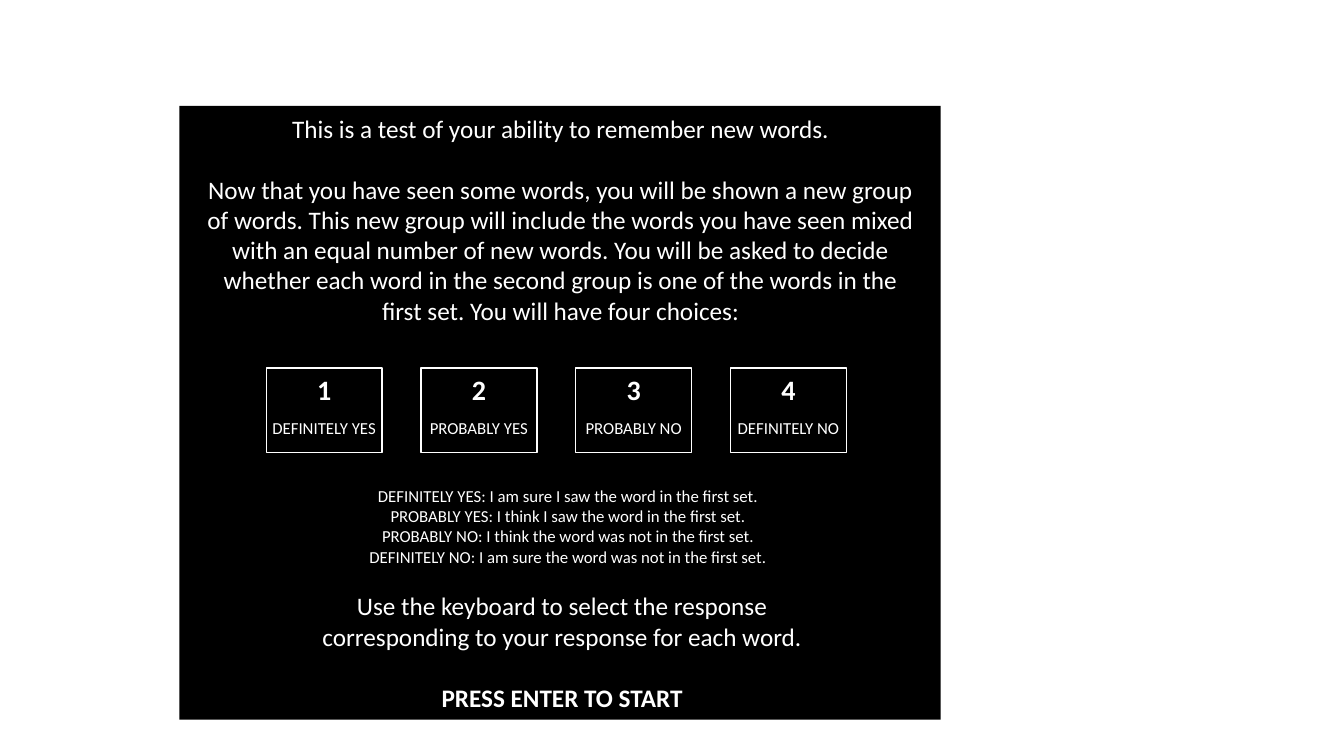
import pptx
import pptx.util
import pptx.dml.color
import pptx.enum.shapes
import pptx.enum.text

# Content
INTRODUCTION = [
    "This is a test of your ability to remember new words.",
    "Now that you have seen some words, you will be shown a new group of words. "
    "This new group will include the words you have seen mixed with an equal number "
    "of new words. You will be asked to decide whether each word in the second group "
    "is one of the words in the first set. You will have four choices:",
]
CHOICES = [
    ("DEFINITELY YES", "I am sure I saw the word in the first set."),
    ("PROBABLY YES", "I think I saw the word in the first set."),
    ("PROBABLY NO", "I think the word was not in the first set."),
    ("DEFINITELY NO", "I am sure the word was not in the first set."),
]
INSTRUCTION = ("Use the keyboard to select the response corresponding "
               "to your response for each word.")
START = "PRESS ENTER TO START"

# Format and layout, in inches
COLORS = {"panel": "000000", "ink": "FFFFFF"}
FONT = "Calibri"
LINE_GAP = 22  # one line of 18 point text
PANEL = (1.78, 1.05, 7.55, 6.09)
INTRODUCTION_AREA = (1.9, 1.07, 7.32, 2.22)
MEANINGS_AREA = (2.3, 4.77, 6.67, 0.91)
INSTRUCTION_AREA = (2.82, 5.81, 5.51, 1.31)
BOX_LEFT, BOX_TOP, BOX_WIDTH, BOX_HEIGHT = 2.64, 3.65, 1.15, 0.84
BOX_STEP = 1.535
LABEL_TOP, LABEL_WIDTH, LABEL_HEIGHT = 4.1, 1.24, 0.3

presentation = pptx.Presentation()
presentation.slide_width = pptx.util.Inches(13.33)
presentation.slide_height = pptx.util.Inches(7.5)
slide = presentation.slides.add_slide(presentation.slide_layouts[6])


def color(name):
    return pptx.dml.color.RGBColor.from_string(COLORS[name])


def add_rectangle(area, outlined=False):
    shape = slide.shapes.add_shape(
        pptx.enum.shapes.MSO_SHAPE.RECTANGLE, *map(pptx.util.Inches, area))
    shape.shadow.inherit = False
    shape.fill.solid()
    shape.fill.fore_color.rgb = color("panel")
    if outlined:
        shape.line.color.rgb = color("ink")
        shape.line.width = pptx.util.Pt(1)
    else:
        shape.line.fill.background()
    return shape


def add_text_box(area):
    return slide.shapes.add_textbox(*map(pptx.util.Inches, area))


def write(shape, lines, size=18, bold_lines=(), gap=0, wrap=True):
    frame = shape.text_frame
    frame.word_wrap = wrap
    frame.vertical_anchor = pptx.enum.text.MSO_ANCHOR.TOP
    for index, line in enumerate(lines):
        paragraph = frame.add_paragraph() if index else frame.paragraphs[0]
        paragraph.alignment = pptx.enum.text.PP_ALIGN.CENTER
        paragraph.space_before = pptx.util.Pt(gap if index else 0)
        run = paragraph.add_run()
        run.text = line
        run.font.name = FONT
        run.font.size = pptx.util.Pt(size)
        run.font.bold = index in bold_lines
        run.font.color.rgb = color("ink")


# Panel and introduction
add_rectangle(PANEL)
write(add_rectangle(INTRODUCTION_AREA), INTRODUCTION, gap=LINE_GAP)

# Numbered choices
for index, (label, meaning) in enumerate(CHOICES):
    left = BOX_LEFT + index * BOX_STEP
    box = add_rectangle((left, BOX_TOP, BOX_WIDTH, BOX_HEIGHT), outlined=True)
    write(box, [str(index + 1)], size=20, bold_lines=(0,))
    label_left = left + (BOX_WIDTH - LABEL_WIDTH) / 2
    label_box = add_text_box((label_left, LABEL_TOP, LABEL_WIDTH, LABEL_HEIGHT))
    write(label_box, [label], size=12, wrap=False)

# Meanings and final instruction
write(add_text_box(MEANINGS_AREA),
      [f"{label}: {meaning}" for label, meaning in CHOICES], size=12)
write(add_text_box(INSTRUCTION_AREA), [INSTRUCTION, START],
      bold_lines=(1,), gap=LINE_GAP)

presentation.save("out.pptx")
